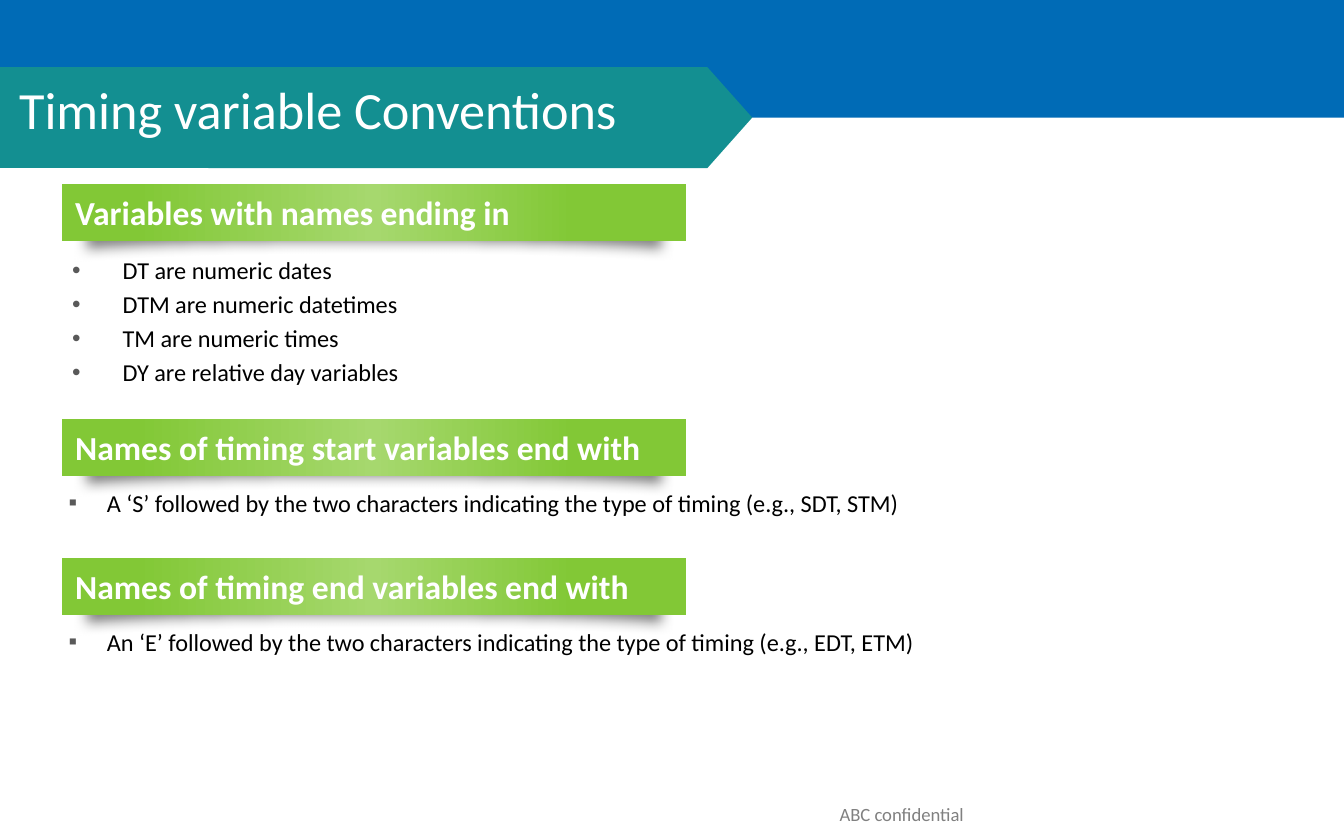
from lxml.etree import SubElement
from pptx import Presentation
from pptx.dml.color import RGBColor
from pptx.enum.shapes import MSO_SHAPE
from pptx.enum.text import MSO_ANCHOR, MSO_AUTO_SIZE, PP_ALIGN
from pptx.oxml.ns import qn
from pptx.util import Pt

COLORS = {
    "blue": "006BB6", "teal": "138F91", "green": "82C836", "light": "A6D86E",
    "gray": "808080", "bullet": "595959", "white": "FFFFFF", "black": "000000",
}
FONT = "Calibri"


def rgb(name):
    """Return the named colour."""
    return RGBColor.from_string(COLORS[name])


def paint(sp, color):
    """Give a shape a flat fill without line or shadow."""
    sp.shadow.inherit = False
    sp.fill.solid()
    sp.fill.fore_color.rgb = rgb(color)
    sp.line.fill.background()


def add_shape(shapes, kind, left, top, width, height, color):
    """Add a flat preset shape."""
    sp = shapes.add_shape(kind, Pt(left), Pt(top), Pt(width), Pt(height))
    paint(sp, color)
    return sp


def place(sp, left, top, width, height):
    """Move and size a shape."""
    sp.left, sp.top, sp.width, sp.height = Pt(left), Pt(top), Pt(width), Pt(height)


def style(p, size, color, bold=False, align=PP_ALIGN.LEFT):
    """Format a paragraph and its runs."""
    p.alignment = align
    for r in p.runs:
        r.font.name, r.font.size, r.font.bold = FONT, Pt(size), bold
        r.font.color.rgb = rgb(color)


def add_bullet(p, char, indent):
    """Give a paragraph a hanging bullet."""
    pPr = p._p.get_or_add_pPr()
    pPr.set("marL", str(Pt(indent)))
    pPr.set("indent", str(-Pt(indent)))
    clr = SubElement(pPr, qn("a:buClr"))
    SubElement(clr, qn("a:srgbClr"), val=COLORS["bullet"])
    SubElement(pPr, qn("a:buFont"), typeface="Arial")
    SubElement(pPr, qn("a:buChar"), char=char)


def fill_list(tf, items, char, indent):
    """Write a bulleted list into a text frame."""
    tf.word_wrap = True
    tf.auto_size = MSO_AUTO_SIZE.NONE
    tf.vertical_anchor = MSO_ANCHOR.TOP
    tf.text = "\n".join(items)
    for i, p in enumerate(tf.paragraphs):
        add_bullet(p, char, indent)
        p.space_before = Pt(2.6 if i else 0)
        style(p, 13, "black")


def add_header(s):
    """Draw the blue band and the teal arrow."""
    add_shape(s.shapes, MSO_SHAPE.RECTANGLE, 0, 0, 720, 63, "blue")
    add_shape(s.shapes, MSO_SHAPE.RECTANGLE, 0, 36, 177, 54, "teal")
    points = [(403, 63), (379, 90), (111.6, 90), (111.6, 36)]
    builder = s.shapes.build_freeform(Pt(379), Pt(36))
    builder.add_line_segments([(Pt(x), Pt(y)) for x, y in points])
    paint(builder.convert_to_shape(), "teal")


def add_title(s, text):
    """Set the title above the header."""
    sp = s.shapes.title
    sp._element.getparent().append(sp._element)
    place(sp, 0, 36.7, 340.5, 42.5)
    tf = sp.text_frame
    tf.text = text
    tf.auto_size = MSO_AUTO_SIZE.NONE
    tf.vertical_anchor = MSO_ANCHOR.MIDDLE
    style(tf.paragraphs[0], 28, "white", align=PP_ALIGN.CENTER)


def add_bar(s, top, text):
    """Add a green heading bar with a soft curved shadow."""
    group = s.shapes.add_group_shape()
    shade = add_shape(group.shapes, MSO_SHAPE.FLOWCHART_STORED_DATA,
                      180.7, top - 136.8, 39.6, 321, "gray")
    shade.rotation = 90
    effects = shade._element.spPr.find(qn("a:effectLst"))
    SubElement(effects, qn("a:softEdge"), rad=str(Pt(7)))

    bar = add_shape(group.shapes, MSO_SHAPE.RECTANGLE, 33.2, top, 334.3, 30.5, "green")
    bar.fill.gradient()
    bar.fill.gradient_angle = 180
    stops = bar._element.spPr.find(qn("a:gradFill")).find(qn("a:gsLst"))
    for stop in list(stops):
        stops.remove(stop)
    for pos, color in ((18, "green"), (50, "light"), (88, "green")):
        gs = SubElement(stops, qn("a:gs"), pos=str(pos * 1000))
        SubElement(gs, qn("a:srgbClr"), val=COLORS[color])
    tf = bar.text_frame
    tf.word_wrap = True
    tf.vertical_anchor = MSO_ANCHOR.MIDDLE
    tf.text = text
    style(tf.paragraphs[0], 18, "white", bold=True)


def add_note(s, top, text):
    """Add a one-line bulleted text box."""
    sp = s.shapes.add_textbox(Pt(31.5), Pt(top), Pt(670), Pt(32.5))
    tf = sp.text_frame
    tf.margin_left = tf.margin_right = Pt(5.3)
    tf.margin_top = tf.margin_bottom = Pt(2.6)
    fill_list(tf, [text], "▪", 20.5)


def add_footer(s, text):
    """Add the small centred footer."""
    sp = s.shapes.add_textbox(Pt(372.3), Pt(428), Pt(221.5), Pt(16.5))
    tf = sp.text_frame
    tf.word_wrap = True
    tf.vertical_anchor = MSO_ANCHOR.MIDDLE
    tf.text = text
    style(tf.paragraphs[0], 10, "gray", align=PP_ALIGN.CENTER)


def main():
    """Build the slide."""
    prs = Presentation()
    prs.slide_width, prs.slide_height = Pt(720), Pt(450)
    s = prs.slides.add_slide(prs.slide_layouts[1])
    add_header(s)
    add_title(s, "Timing variable Conventions")

    body = s.placeholders[1]
    place(body, 31.5, 133.2, 670, 80)
    fill_list(body.text_frame, [
        "DT are numeric dates",
        "DTM are numeric datetimes",
        "TM are numeric times",
        "DY are relative day variables",
    ], "•", 27)

    add_bar(s, 98.6, "Variables with names ending in")
    sections = [
        (224.5, "Names of timing start variables end with",
         "A ‘S’ followed by the two characters indicating the type of timing (e.g., SDT, STM)"),
        (299, "Names of timing end variables end with",
         "An ‘E’ followed by the two characters indicating the type of timing (e.g., EDT, ETM)"),
    ]
    for top, heading, note in sections:
        add_bar(s, top, heading)
        add_note(s, top + 34.2, note)
    add_footer(s, "ABC confidential")
    prs.save("out.pptx")


if __name__ == "__main__":
    main()
